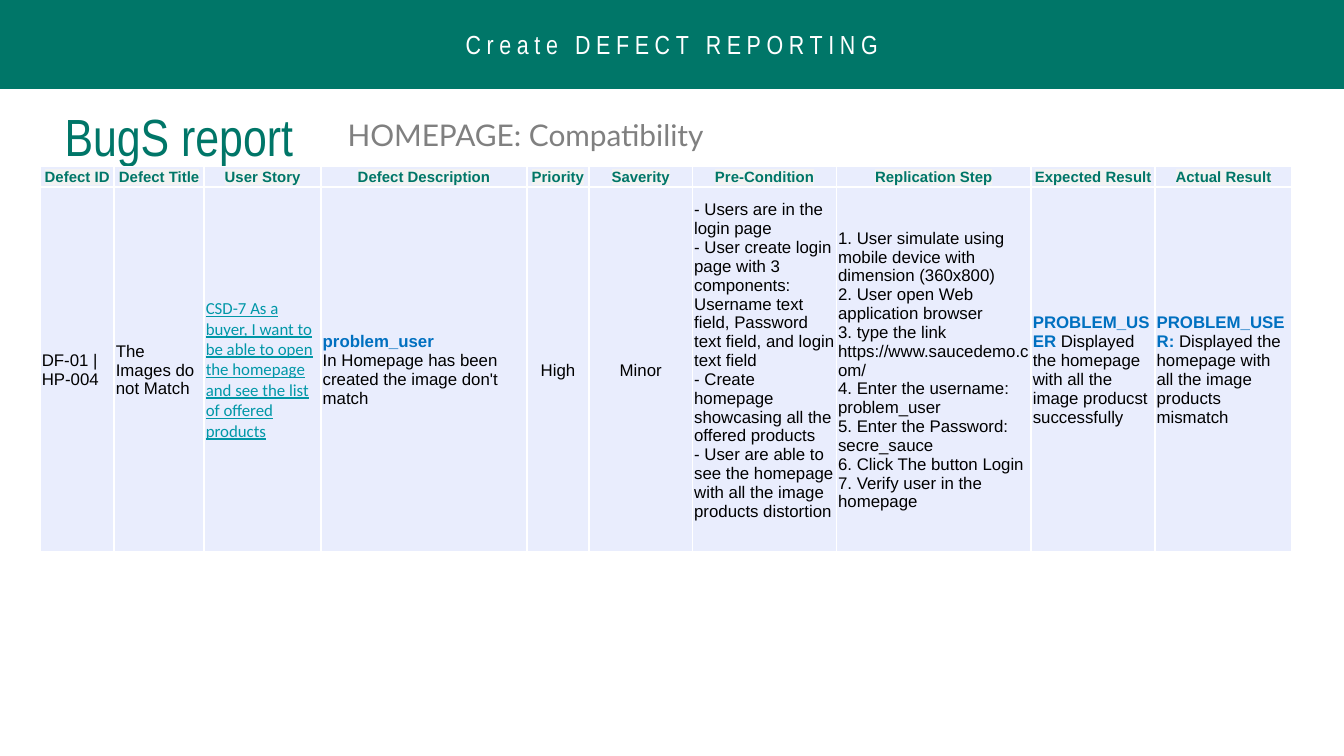
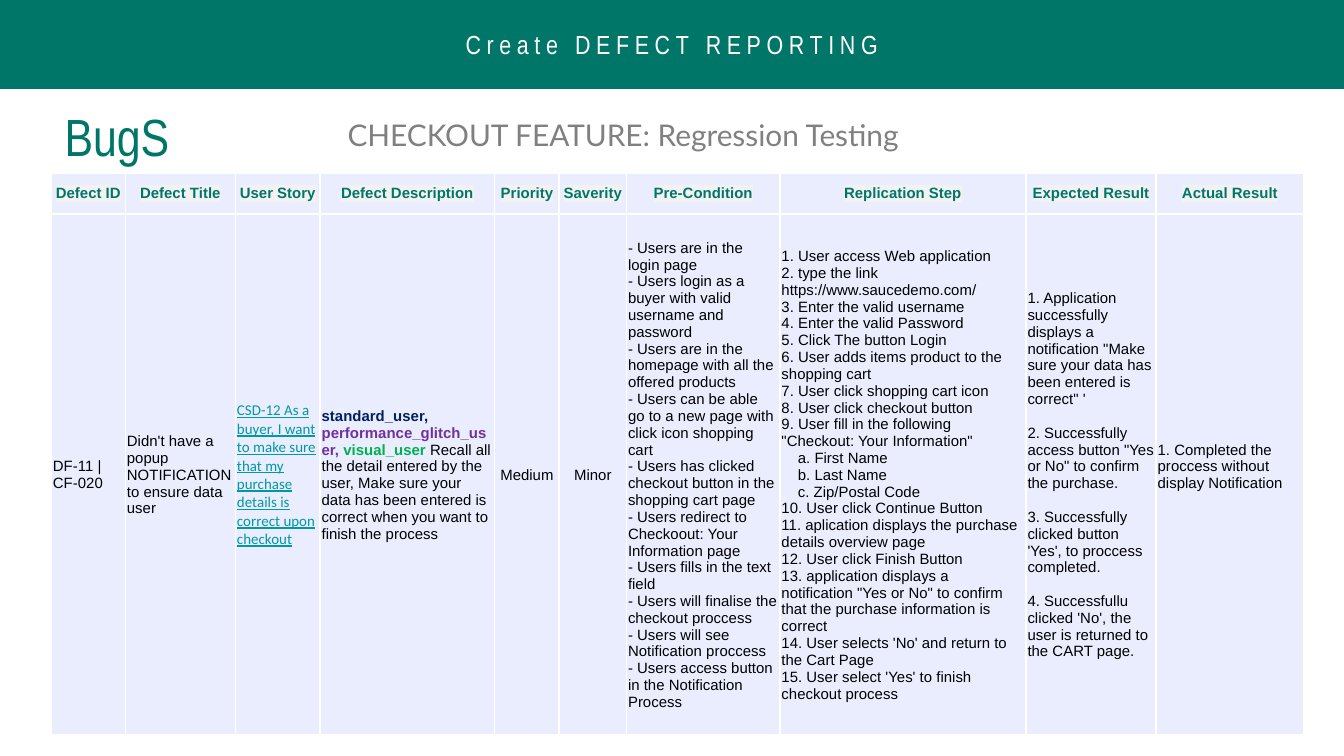
from dataclasses import dataclass

from lxml.etree import SubElement
from pptx import Presentation
from pptx.dml.color import RGBColor
from pptx.enum.shapes import MSO_SHAPE
from pptx.enum.text import MSO_ANCHOR, MSO_AUTO_SIZE, PP_ALIGN
from pptx.oxml.ns import qn
from pptx.util import Cm, Pt

GREEN = RGBColor(0x00, 0x76, 0x68)
WHITE = RGBColor(0xFF, 0xFF, 0xFF)
BLACK = RGBColor(0x00, 0x00, 0x00)
GRAY = RGBColor(0x80, 0x80, 0x80)
LAVENDER = RGBColor(0xE9, 0xED, 0xFD)
PALE_GRAY = RGBColor(0xF2, 0xF2, 0xF2)
TEAL = RGBColor(0x00, 0x97, 0xA7)
BLUE = RGBColor(0x00, 0x70, 0xC0)
NAVY = RGBColor(0x00, 0x20, 0x60)
PURPLE = RGBColor(0x70, 0x30, 0xA0)
LEAF = RGBColor(0x00, 0xB0, 0x50)

BAND_FONT = {"name": "Arial Narrow", "size": Pt(14), "color": WHITE}
TITLE_FONT = {"name": "Arial Narrow", "size": Pt(28), "color": GREEN}
TOPIC_FONT = {"name": "Lato", "size": Pt(16), "color": GRAY}
HEADER_FONT = {"name": "Arial", "size": Pt(8), "bold": True, "color": GREEN}
STORY_FONT = {"name": "Calibri", "underline": True, "color": TEAL}

HEADERS = ["Defect ID", "Defect Title", "User Story", "Defect Description", "Priority",
           "Saverity", "Pre-Condition", "Replication Step", "Expected Result", "Actual Result"]


@dataclass
class Entry:
    """Body cell; each line is a text or a list of (text, font changes) spans."""
    lines: list
    align: PP_ALIGN = PP_ALIGN.LEFT
    font: dict = None
    gap: float = 0
    below: float = 0
    indented: range = range(0)


def strong(text, color):
    return text, {"bold": True, "color": color}


def centered(text):
    return Entry([text], align=PP_ALIGN.CENTER)


def story(text):
    return Entry([text], font=STORY_FONT)


def set_margins(target, left, top, right, bottom):
    margins = {"margin_left": left, "margin_top": top,
               "margin_right": right, "margin_bottom": bottom}
    for name, value in margins.items():
        setattr(target, name, Cm(value))


def set_font(font, values):
    for name, value in values.items():
        if name == "color":
            font.color.rgb = value
        else:
            setattr(font, name, value)


def add_solid_fill(parent, color):
    fill = SubElement(parent, qn("a:solidFill"))
    SubElement(fill, qn("a:srgbClr"), val=str(color))


class ReportDeck:
    def __init__(self):
        self.deck = Presentation()
        self.deck.slide_width = Cm(25.4)
        self.deck.slide_height = Cm(14.29)
        self.page = None

    def new_page(self, topic, title_width):
        self.page = self.deck.slides.add_slide(self.deck.slide_layouts[6])
        self.band("Create DEFECT REPORTING")
        self.label("BugS report", TITLE_FONT, 0.97, 1.73, title_width, 1.7)
        self.label(topic, TOPIC_FONT, 6.32, 1.96, 17.73, 1.19)

    def fill_text(self, frame, lines, font, align=PP_ALIGN.LEFT, gap=0, indented=range(0)):
        for number, line in enumerate(lines):
            paragraph = frame.add_paragraph() if number else frame.paragraphs[0]
            paragraph.alignment = align
            if number and gap:
                paragraph.space_before = Pt(gap)
            if number in indented:
                paragraph._p.get_or_add_pPr().set("marL", str(Cm(0.31)))
            for text, changes in [(line, {})] if isinstance(line, str) else line:
                span = paragraph.add_run()
                span.text = text
                set_font(span.font, {**font, **changes})

    def band(self, text):
        band = self.page.shapes.add_shape(MSO_SHAPE.RECTANGLE, 0, 0, self.deck.slide_width, Cm(1.68))
        band.shadow.inherit = False
        band.fill.solid()
        band.fill.fore_color.rgb = GREEN
        band.line.color.rgb = GREEN
        band.line.width = Pt(0.75)
        frame = band.text_frame
        frame.vertical_anchor = MSO_ANCHOR.MIDDLE
        set_margins(frame, 0.25, 0.25, 0.25, 0.25)
        self.fill_text(frame, [text], BAND_FONT, PP_ALIGN.CENTER)
        frame.paragraphs[0].runs[0]._r.get_or_add_rPr().set("spc", "300")

    def label(self, text, font, left, top, width, height):
        box = self.page.shapes.add_textbox(Cm(left), Cm(top), Cm(width), Cm(height))
        frame = box.text_frame
        frame.word_wrap = True
        frame.auto_size = MSO_AUTO_SIZE.SHAPE_TO_FIT_TEXT
        set_margins(frame, 0.25, 0.25, 0.25, 0.25)
        self.fill_text(frame, [text], font)

    def style_cell(self, cell):
        cell.vertical_anchor = MSO_ANCHOR.MIDDLE
        properties = cell._tc.get_or_add_tcPr()
        for position, side in enumerate(("lnL", "lnR", "lnT", "lnB")):
            border = SubElement(properties, qn(f"a:{side}"), w=str(Pt(1)))
            add_solid_fill(border, WHITE)
            properties.insert(position, border)
        cell.fill.solid()
        cell.fill.fore_color.rgb = LAVENDER

    def highlight(self, span, color):
        properties = span._r.get_or_add_rPr()
        mark = SubElement(properties, qn("a:highlight"))
        SubElement(mark, qn("a:srgbClr"), val=str(color))
        properties.find(qn("a:solidFill")).addnext(mark)

    def defect_table(self, left, top, widths, heights, size, entries):
        frame = self.page.shapes.add_table(2, len(HEADERS), Cm(left), Cm(top),
                                           Cm(sum(widths)), Cm(sum(heights)))
        table = frame.table
        table.first_row = False
        table.horz_banding = False
        for row, height in zip(table.rows, heights):
            row.height = Cm(height)
        body_font = {"name": "Arial", "size": Pt(size), "color": BLACK}
        for index, (width, header, entry) in enumerate(zip(widths, HEADERS, entries)):
            table.columns[index].width = Cm(width)
            head, body = table.cell(0, index), table.cell(1, index)
            self.style_cell(head)
            set_margins(head, 0, 0, 0, 0)
            self.fill_text(head.text_frame, [header], HEADER_FONT, PP_ALIGN.CENTER)
            self.highlight(head.text_frame.paragraphs[0].runs[0], PALE_GRAY)
            self.style_cell(body)
            set_margins(body, 0.03, 0.03, 0.03, entry.below)
            self.fill_text(body.text_frame, entry.lines, {**body_font, **(entry.font or {})},
                           entry.align, entry.gap, entry.indented)


def add_homepage_defect(report):
    report.new_page("HOMEPAGE: Compatibility", 5.36)
    report.defect_table(
        0.76, 3.15, [1.4, 1.7, 2.21, 3.89, 1.17, 1.96, 2.72, 3.68, 2.34, 2.59], [0.39, 6.88], 9, [
            Entry(["DF-01 | HP-004"]),
            Entry(["The Images do not Match"]),
            story("CSD-7 As a buyer, I want to be able to open the homepage "
                  "and see the list of offered products"),
            Entry([[strong("problem_user", BLUE)],
                   "In Homepage has been created the image don't match"]),
            centered("High"),
            centered("Minor"),
            Entry(["- Users are in the login page",
                   "- User create login page with 3 components: Username text field, "
                   "Password text field, and login text field",
                   "- Create homepage showcasing all the offered products",
                   "- User are able to see the homepage with all the image products distortion"],
                  below=0.36),
            Entry(["1. User simulate using mobile device with dimension (360x800)",
                   "2. User open Web application browser",
                   "3. type the link https://www.saucedemo.com/",
                   "4. Enter the username: problem_user",
                   "5. Enter the Password: secre_sauce",
                   "6. Click The button Login",
                   "7. Verify user in the homepage"]),
            Entry([[strong("PROBLEM_USER", BLUE),
                    (" Displayed the homepage with all the image producst successfully", {})]]),
            Entry([[strong("PROBLEM_USER:", BLUE),
                    (" Displayed the homepage with all the image products mismatch", {})]]),
        ])


def add_checkout_defect(report):
    report.new_page("CHECKOUT FEATURE: Regression Testing", 4.8)
    report.defect_table(
        0.97, 3.28, [1.4, 2.08, 1.6, 3.3, 1.22, 1.27, 2.9, 4.65, 2.46, 2.79], [0.76, 9.85], 8, [
            Entry(["DF-11 | CF-020"]),
            Entry(["Didn't have a popup NOTIFICATION to ensure data user"]),
            story("CSD-12 As a buyer, I want to make sure that my purchase details "
                  "is correct upon checkout"),
            Entry([[strong("standard_user, ", NAVY),
                    strong("performance_glitch_user, ", PURPLE),
                    strong("visual_user ", LEAF),
                    ("Recall all the detail entered by the user, Make sure your data has been "
                     "entered is correct when you want to finish the process", {})]]),
            centered("Medium"),
            centered("Minor"),
            Entry(["- Users are in the login page",
                   "- Users login as a buyer with valid username and password",
                   "- Users are in the homepage with all the offered products",
                   "- Users can be able go to a new page with click icon shopping cart",
                   "- Users has clicked checkout button in the shopping cart page",
                   "- Users redirect to Checkoout: Your Information page",
                   "- Users fills in the text field",
                   "- Users will finalise the checkout proccess",
                   "- Users will see Notification proccess",
                   "- Users access button in the Notification Process"]),
            Entry(["1. User access Web application",
                   "2. type the link https://www.saucedemo.com/",
                   "3. Enter the valid username",
                   "4. Enter the valid Password",
                   "5. Click The button Login",
                   "6. User adds items product to the shopping cart",
                   "7. User click shopping cart icon",
                   "8. User click checkout button",
                   "9. User fill in the following \"Checkout: Your Information\"",
                   "a. First Name",
                   "b. Last Name",
                   "c. Zip/Postal Code",
                   "10. User click Continue Button",
                   "11. aplication displays the purchase details overview page",
                   "12. User click Finish Button",
                   "13. application displays a notification \"Yes or No\" to confirm "
                   "that the purchase information is correct",
                   "14. User selects 'No' and return to the Cart Page",
                   "15. User select 'Yes' to finish checkout process"],
                  indented=range(9, 12)),
            Entry(["1. Application successfully displays a notification "
                   "\"Make sure your data has been entered is correct\" '",
                   "2. Successfully access button \"Yes or No\" to confirm the purchase.",
                   "3. Successfully clicked button 'Yes', to proccess completed.",
                   "4. Successfullu clicked 'No', the user is returned to the CART page."],
                  gap=9),
            Entry(["1. Completed the proccess without display Notification"], below=0.32),
        ])


def main():
    report = ReportDeck()
    add_homepage_defect(report)
    add_checkout_defect(report)
    report.deck.save("out.pptx")


if __name__ == "__main__":
    main()
